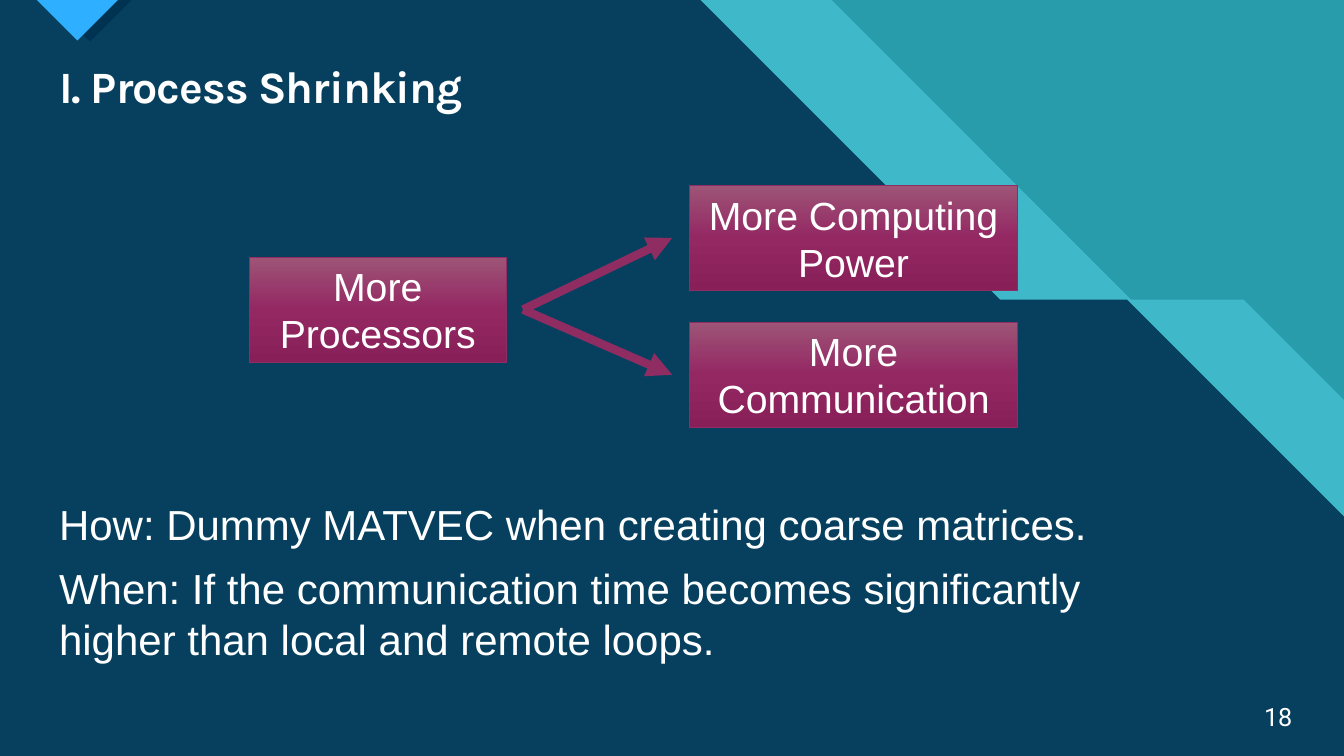
from dataclasses import dataclass

from lxml.etree import SubElement
from pptx import Presentation
from pptx.dml.color import RGBColor
from pptx.enum.shapes import MSO_CONNECTOR, MSO_SHAPE
from pptx.enum.text import MSO_ANCHOR, PP_ALIGN
from pptx.oxml import parse_xml
from pptx.oxml.ns import nsdecls, qn
from pptx.util import Cm, Pt


@dataclass(frozen=True)
class Theme:
    teal: str = "299CAB"
    band: str = "3FB9C9"
    navy: str = "06405E"
    shadow: str = "003352"
    blue: str = "2FAFFF"
    text: str = "FFFFFF"
    plum: str = "8F2D63"
    plum_stops: tuple = ((0, "9D5477"), (50, "942863"), (100, "881F59"))
    title_font: str = "Karla"
    body_font: str = "Arial"
    number_font: str = "Roboto"
    title_size: int = 32
    body_size: int = 30
    box_size: int = 28
    number_size: int = 18


class SlideBuilder:
    def __init__(self, page, theme):
        self.page = page
        self.theme = theme

    def background(self, colour):
        fill = self.page.background.fill
        fill.solid()
        fill.fore_color.rgb = RGBColor.from_string(colour)

    def style(self, para, name, size, align=PP_ALIGN.LEFT, bold=False):
        para.alignment = align
        para.font.name = name
        para.font.size = Pt(size)
        para.font.bold = bold
        para.font.color.rgb = RGBColor.from_string(self.theme.text)

    def title(self, text, left, top, width, height):
        box = self.page.shapes.title
        # Bring the placeholder in front of the backdrop
        self.page.shapes._spTree.append(box._element)
        box.left, box.top, box.width, box.height = map(Cm, (left, top, width, height))
        frame = box.text_frame
        frame.text = text
        frame.vertical_anchor = MSO_ANCHOR.MIDDLE
        para = frame.paragraphs[0]
        para.line_spacing = 0.9
        self.style(para, self.theme.title_font, self.theme.title_size, bold=True)
        para.runs[0].font._element.set("spc", "-70")

    def polygon(self, points, colour):
        start, *others = [(Cm(x), Cm(y)) for x, y in points]
        builder = self.page.shapes.build_freeform(*start)
        builder.add_line_segments(others, close=True)
        shape = builder.convert_to_shape()
        shape.shadow.inherit = False
        shape.fill.solid()
        shape.fill.fore_color.rgb = RGBColor.from_string(colour)
        shape.line.fill.background()

    def text(self, lines, left, top, width, height, name, size,
             align=PP_ALIGN.LEFT, anchor=MSO_ANCHOR.TOP, before=0, after=0):
        box = self.page.shapes.add_textbox(*map(Cm, (left, top, width, height)))
        frame = box.text_frame
        frame.word_wrap = True
        frame.vertical_anchor = anchor
        frame.text = "\n".join(lines)
        for para in frame.paragraphs:
            self.style(para, name, size, align)
            para.space_before, para.space_after = Pt(before), Pt(after)

    def box(self, text, left, top, width, height):
        shape = self.page.shapes.add_shape(
            MSO_SHAPE.RECTANGLE, *map(Cm, (left, top, width, height)))
        shape.shadow.inherit = False
        stops = "".join(
            f'<a:gs pos="{place * 1000}"><a:srgbClr val="{colour}"/></a:gs>'
            for place, colour in self.theme.plum_stops)
        gradient = parse_xml(
            f'<a:gradFill {nsdecls("a")} rotWithShape="1"><a:gsLst>{stops}</a:gsLst>'
            '<a:lin ang="5400000" scaled="0"/></a:gradFill>')
        shape._element.spPr.find(qn("a:prstGeom")).addnext(gradient)
        shape.line.color.rgb = RGBColor.from_string(self.theme.plum)
        shape.line.width = Pt(0.5)
        frame = shape.text_frame
        frame.word_wrap = True
        frame.vertical_anchor = MSO_ANCHOR.MIDDLE
        frame.text = text
        self.style(frame.paragraphs[0], self.theme.body_font,
                   self.theme.box_size, PP_ALIGN.CENTER)

    def arrow(self, start, end):
        line = self.page.shapes.add_connector(
            MSO_CONNECTOR.STRAIGHT, *map(Cm, (*start, *end)))
        line.line.color.rgb = RGBColor.from_string(self.theme.plum)
        line.line.width = Pt(6)
        SubElement(line.line._get_or_add_ln(), qn("a:tailEnd"), type="triangle")
        SubElement(line._element.spPr, qn("a:effectLst"))


def main():
    theme = Theme()
    width, height = 33.87, 19.05
    deck = Presentation()
    deck.slide_width, deck.slide_height = Cm(width), Cm(height)
    page = deck.slides.add_slide(deck.slide_layouts.get_by_name("Title Only"))
    slide = SlideBuilder(page, theme)

    # Layered backdrop, each layer with a stepped right edge
    slide.background(theme.teal)
    edges = (
        (theme.band, [(20.96, 0), (28.5, 7.55), (31.34, 7.55), (width, 10.08)]),
        (theme.navy, [(17.65, 0), (25.2, 7.55), (28.4, 7.55), (width, 13.02)]),
    )
    for colour, edge in edges:
        slide.polygon([(0, 0), *edge, (width, height), (0, height)], colour)

    # Corner marker and its shadow
    for colour, centre, depth in ((theme.shadow, 2.27, 1.05), (theme.blue, 1.95, 1.02)):
        slide.polygon([(centre - depth, 0), (centre + depth, 0), (centre, depth)], colour)

    # Title and page number
    slide.title("I. Process Shrinking", 1.24, 1.5, 31.14, 1.5)
    slide.text(["18"], 31.27, 17.55, 1.55, 1.02, theme.number_font,
               theme.number_size, PP_ALIGN.RIGHT, MSO_ANCHOR.MIDDLE)

    # Cause and its two effects
    box_height = 2.65
    slide.box("More Processors", 6.28, 6.48, 6.48, box_height)
    effects = (("More Computing Power", 4.67), ("More Communication", 8.12))
    for label, top in effects:
        slide.arrow((13.18, 7.8), (16.94, top + box_height / 2))
        slide.box(label, 17.38, top, 8.26, box_height)

    # Explanation
    slide.text(
        ["How: Dummy MATVEC when creating coarse matrices.",
         "When: If the communication time becomes significantly higher "
         "than local and remote loops."],
        1.24, 12.44, 29.34, 5.49, theme.body_font, theme.body_size, before=6, after=4)

    deck.save("out.pptx")


if __name__ == "__main__":
    main()
